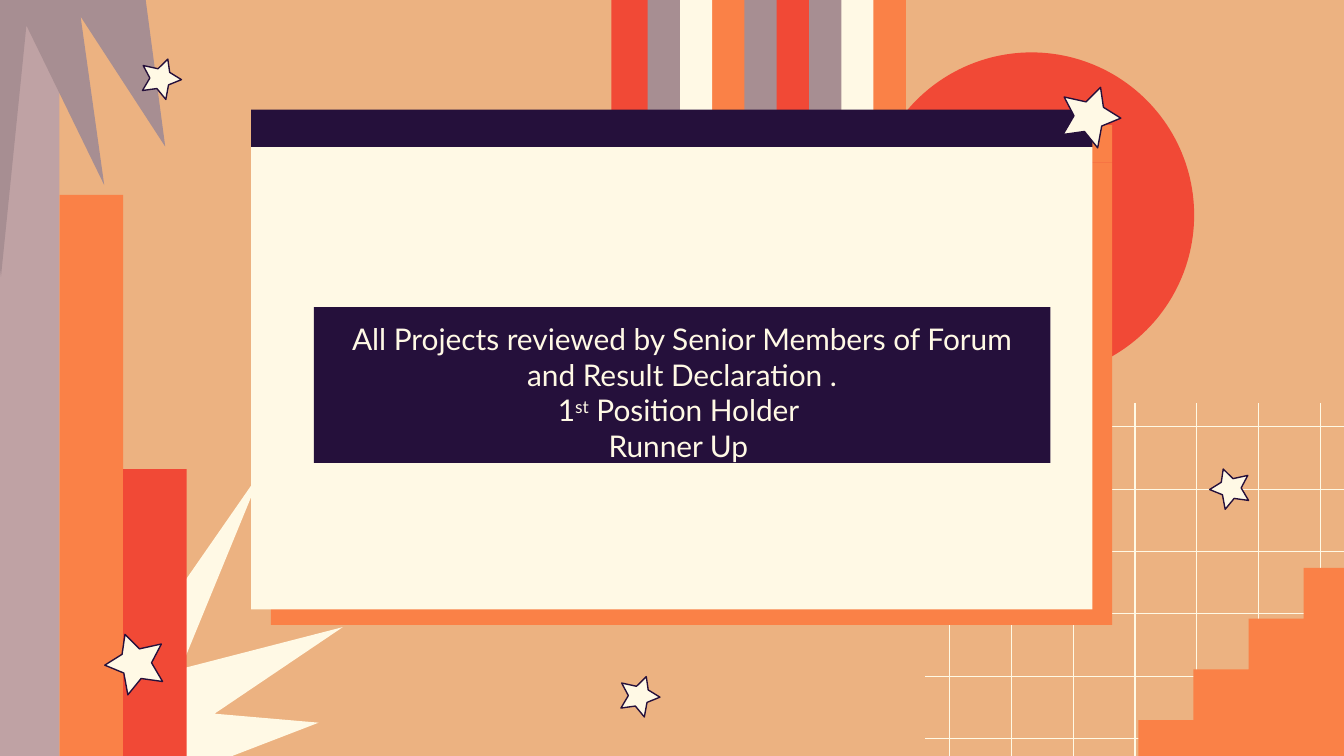
import collections
import dataclasses

import lxml.etree
import pptx
import pptx.dml.color
import pptx.enum.shapes
import pptx.enum.text
import pptx.oxml.ns
import pptx.util

Box = collections.namedtuple("Box", "x y w h")
COLUMNS, ROWS = 100, 56.25
CELL = pptx.util.Inches(10) / COLUMNS


@dataclasses.dataclass(frozen=True)
class Theme:
    sand: str = "ECB281"
    cream: str = "FFF9E5"
    orange: str = "FA8147"
    red: str = "F14936"
    mauve: str = "A78E92"
    pink: str = "BFA2A4"
    ink: str = "25103B"
    font: str = "Lato"
    body: int = 16
    line: float = 0.75
    hairline: float = 0.6


THEME = Theme()
STAR = [(0.65, 0), (0.7, 0.33), (1, 0.51), (0.67, 0.64), (0.6, 1),
        (0.37, 0.73), (0, 0.78), (0.19, 0.47), (0.02, 0.16), (0.4, 0.24)]
SPIKES = [(0, 0), (0, 0.86), (0.03, 1), (0.18, 0.15), (0.64, 0.69),
          (0.5, 0.12), (1, 0.56), (0.87, 0)]
BURST = [(0.6, 0), (0, 0.58), (0, 1), (0.3, 1), (0.88, 0.85),
         (0.36, 0.82), (1, 0.53), (0.19, 0.67)]
MESSAGE = [
    [("All Projects reviewed by Senior Members of Forum and Result Declaration .", 0)],
    [("1", 0), ("st", 30), (" Position Holder ", 0)],
    [("Runner Up ", 0)],
]


def cells(value):
    return pptx.util.Emu(round(value * CELL))


def rgb(color):
    return pptx.dml.color.RGBColor.from_string(color)


def paint(shape, fill, line=None):
    shape.shadow.inherit = False
    shape.fill.solid()
    shape.fill.fore_color.rgb = rgb(fill)
    if line:
        shape.line.color.rgb = rgb(line)
        shape.line.width = pptx.util.Pt(THEME.line)
    else:
        shape.line.fill.background()
    return shape


def preset(s, box, fill, kind=pptx.enum.shapes.MSO_SHAPE.RECTANGLE):
    return paint(s.shapes.add_shape(kind, *map(cells, box)), fill)


def outline(s, box, shares, fill, line=None):
    points = [(cells(box.x + x * box.w), cells(box.y + y * box.h)) for x, y in shares]
    builder = s.shapes.build_freeform(*points[0])
    builder.add_line_segments(points[1:], close=True)
    return paint(builder.convert_to_shape(), fill, line)


def rule(s, x1, y1, x2, y2):
    connector = s.shapes.add_connector(
        pptx.enum.shapes.MSO_CONNECTOR.STRAIGHT, *map(cells, (x1, y1, x2, y2)))
    connector.line.color.rgb = rgb(THEME.cream)
    connector.line.width = pptx.util.Pt(THEME.hairline)
    lxml.etree.SubElement(connector._element.spPr, pptx.oxml.ns.qn("a:effectLst"))


def cast_shadow(shape):
    effects = shape._element.spPr.find(pptx.oxml.ns.qn("a:effectLst"))
    shadow = lxml.etree.SubElement(
        effects, pptx.oxml.ns.qn("a:outerShdw"), blurRad="0",
        dist=str(pptx.util.Pt(13.5)), dir=str(38 * 60000), algn="bl", rotWithShape="0")
    lxml.etree.SubElement(shadow, pptx.oxml.ns.qn("a:srgbClr"), val=THEME.orange)


def add_stripes(s, box):
    colors = [THEME.red, THEME.mauve, THEME.cream, THEME.orange, THEME.mauve,
              THEME.red, THEME.mauve, THEME.cream, THEME.orange]
    width = 2.7
    step = (box.w - width) / (len(colors) - 1)
    for i, color in reversed(list(enumerate(colors))):
        preset(s, Box(box.x + i * step, box.y, width, box.h), color)


def add_bars(s, box):
    bars = [(THEME.pink, 0), (THEME.orange, 14.5), (THEME.red, 34.9)]
    width = box.w / len(bars)
    for i, (color, top) in enumerate(bars):
        preset(s, Box(box.x + i * width, box.y + top, width, box.h - top), color)


def add_lattice(s, box):
    step = 4.6
    for i in range(7):
        x = box.x + 1.8 + i * step
        rule(s, x, box.y, x, box.y + box.h)
    for i in range(6):
        y = box.y + 1.75 + i * 4.64
        rule(s, box.x, y, box.x + box.w, y)


def add_stairs(s, box, steps=4):
    treads = [(i / steps, 1 - (i + rise) / steps) for i in range(steps) for rise in (0, 1)]
    outline(s, box, treads + [(1, 0), (1, 1)], THEME.orange)


def add_star(s, box, mirrored=False):
    shares = [(1 - x, y) for x, y in STAR] if mirrored else STAR
    outline(s, box, shares, THEME.cream, THEME.ink)


def add_message(s, box):
    tf = preset(s, box, THEME.ink).text_frame
    tf.word_wrap = True
    tf.vertical_anchor = pptx.enum.text.MSO_ANCHOR.TOP
    tf.margin_left = tf.margin_right = tf.margin_top = tf.margin_bottom = cells(1)
    for i, parts in enumerate(MESSAGE):
        p = tf.add_paragraph() if i else tf.paragraphs[0]
        p.alignment = pptx.enum.text.PP_ALIGN.CENTER
        for text, raised in parts:
            r = p.add_run()
            r.text = text
            r.font.name = THEME.font
            r.font.size = pptx.util.Pt(THEME.body)
            r.font.color.rgb = rgb(THEME.cream)
            if raised:
                r.font._element.set("baseline", str(raised * 1000))


def add_card(s, box):
    bar = 2.8
    cast_shadow(preset(s, Box(box.x, box.y, box.w, bar), THEME.ink))
    cast_shadow(preset(s, Box(box.x, box.y + bar, box.w, box.h - bar), THEME.cream))
    add_message(s, Box(box.x + 4.68, box.y + 14.7, 54.8, 11.6))


def build_slide(prs):
    s = prs.slides.add_slide(prs.slide_layouts[6])
    s.background.fill.solid()
    s.background.fill.fore_color.rgb = rgb(THEME.sand)
    add_stripes(s, Box(45.5, -1.9, 21.9, 17.5))
    preset(s, Box(64.65, 3.9, 24.2, 24.2), THEME.red, pptx.enum.shapes.MSO_SHAPE.OVAL)
    outline(s, Box(10.6, 34.9, 14.9, 22.2), BURST, THEME.cream)
    add_bars(s, Box(-0.3, 0, 14.2, 56.4))
    outline(s, Box(-0.3, -1.4, 12.6, 22), SPIKES, THEME.mauve)
    add_lattice(s, Box(68.85, 30, 31.15, 31.4))
    add_stairs(s, Box(84.7, 42.25, 16.4, 15.1))
    add_star(s, Box(10.6, 4.4, 2.9, 3))
    add_star(s, Box(7.8, 47.2, 4.3, 4.5), mirrored=True)
    add_star(s, Box(90, 34.9, 2.9, 3), mirrored=True)
    add_star(s, Box(46.2, 50.35, 2.9, 3))
    add_card(s, Box(18.68, 8.15, 62.6, 37.2))
    add_star(s, Box(79.1, 6.5, 4.3, 4.5))


def main():
    prs = pptx.Presentation()
    prs.slide_width = cells(COLUMNS)
    prs.slide_height = cells(ROWS)
    build_slide(prs)
    prs.save("out.pptx")


if __name__ == "__main__":
    main()
